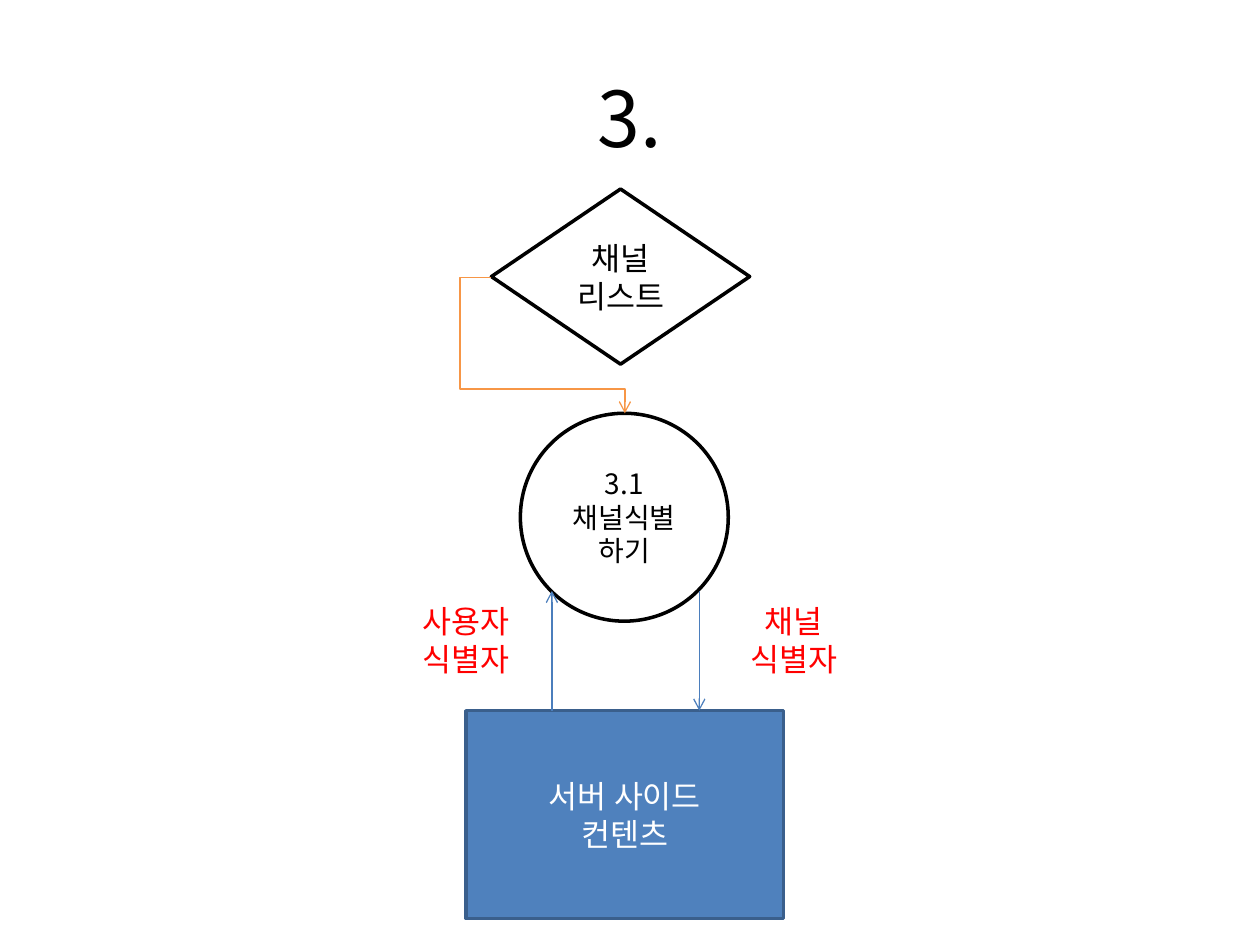
from lxml.etree import SubElement
from pptx import Presentation
from pptx.dml.color import RGBColor as RGB
from pptx.enum.shapes import MSO_CONNECTOR as CON, MSO_SHAPE as SHP
from pptx.enum.text import MSO_ANCHOR as ANC, PP_ALIGN as AL
from pptx.oxml.ns import qn
from pptx.util import Inches, Pt

FONT = "Noto Sans CJK KR"
C = {"black": "000000", "white": "FFFFFF", "red": "FF0000", "blue": "4F81BD",
     "edge": "3A5F8C", "arrow": "4B7EBC", "orange": "F79646"}

prs = Presentation()
prs.slide_width, prs.slide_height = Inches(10), Inches(7.5)
s = prs.slides.add_slide(prs.slide_layouts[6])


def write(sp, lines, size, color, anchor, inset=None):
    tf = sp.text_frame
    tf.word_wrap = True
    tf.vertical_anchor = anchor
    if inset is not None:
        tf.margin_left = tf.margin_right = Inches(inset)
        tf.margin_top = tf.margin_bottom = Inches(inset)
    for i, line in enumerate(lines):
        p = tf.paragraphs[0] if i == 0 else tf.add_paragraph()
        p.alignment = AL.CENTER
        r = p.add_run()
        r.text = line
        r.font.size = Pt(size)
        r.font.color.rgb = RGB.from_string(C[color])
        r.font.name = FONT
        SubElement(r._r.get_or_add_rPr(), qn("a:ea"), typeface=FONT)


def arrow(kind, start, end, color):
    cn = s.shapes.add_connector(kind, *map(Inches, start + end))
    cn.line.width = Pt(0.75)
    cn.line.color.rgb = RGB.from_string(C[color])
    SubElement(cn.line._get_or_add_ln(), qn("a:tailEnd"), type="arrow")
    SubElement(cn._element.spPr, qn("a:effectLst"))
    return cn


nodes = [
    (SHP.FLOWCHART_DECISION, (3.9, 1.5, 2.05, 1.39), "white", "black",
     ["채널", "리스트"], 18, "black", None),
    (SHP.OVAL, (4.13, 3.28, 1.65, 1.65), "white", "black",
     ["3.1", "채널식별", "하기"], 16, "black", 0.04),
    (SHP.RECTANGLE, (3.7, 5.64, 2.52, 1.65), "blue", "edge",
     ["서버 사이드", "컨텐츠"], 18, "white", None),
]
for kind, box, fill, edge, lines, size, color, inset in nodes:
    sp = s.shapes.add_shape(kind, *map(Inches, box))
    sp.shadow.inherit = False
    sp.fill.solid()
    sp.fill.fore_color.rgb = RGB.from_string(C[fill])
    sp.line.color.rgb = RGB.from_string(C[edge])
    sp.line.width = Pt(2)
    write(sp, lines, size, color, ANC.MIDDLE, inset)

labels = [
    ((0.5, 0.3, 9, 1.25), ["3."], 44, "black", ANC.MIDDLE),
    ((2.95, 4.73, 1.5, 0.71), ["사용자", "식별자"], 18, "red", ANC.TOP),
    ((5.55, 4.73, 1.5, 0.71), ["채널", "식별자"], 18, "red", ANC.TOP),
]
for box, lines, size, color, anchor in labels:
    write(s.shapes.add_textbox(*map(Inches, box)), lines, size, color, anchor)

bent = arrow(CON.ELBOW, (3.9, 2.2), (4.96, 3.28), "orange")
geom = bent._element.spPr.find(qn("a:prstGeom"))
geom.set("prst", "bentConnector4")
guides = geom.find(qn("a:avLst"))
if guides is None:
    guides = SubElement(geom, qn("a:avLst"))
for name, share in (("adj1", -0.235), ("adj2", 0.822)):
    SubElement(guides, qn("a:gd"), name=name, fmla=f"val {round(share * 100000)}")

arrow(CON.STRAIGHT, (4.38, 5.64), (4.38, 4.69), "arrow")
arrow(CON.STRAIGHT, (5.55, 4.69), (5.55, 5.64), "arrow")

prs.save("out.pptx")
